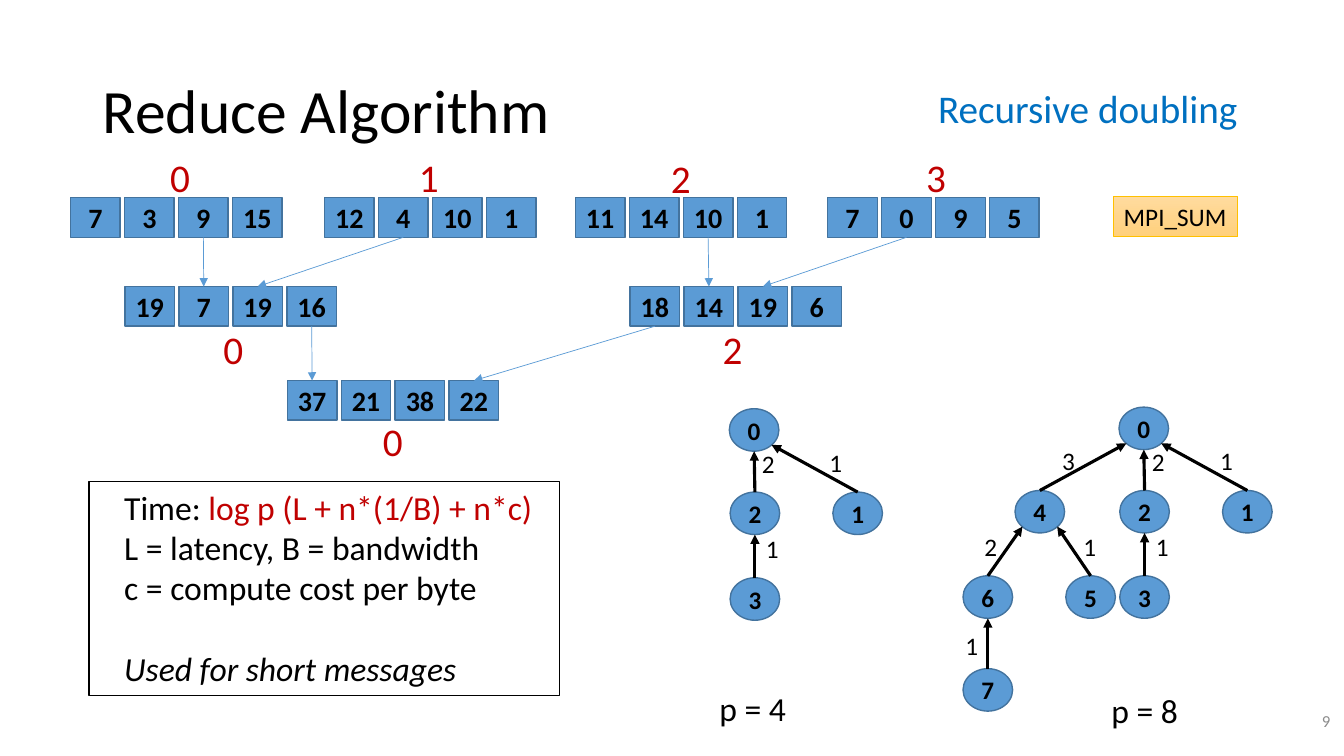
import pptx
import pptx.util
import pptx.dml.color
import pptx.enum.shapes
import pptx.enum.text
import pptx.oxml
import pptx.oxml.ns

Cm, Pt = pptx.util.Cm, pptx.util.Pt
SHAPE = pptx.enum.shapes.MSO_SHAPE
ALIGN = pptx.enum.text.PP_ALIGN
ANCHOR = pptx.enum.text.MSO_ANCHOR

HUES = {
    "black": "000000", "white": "FFFFFF", "red": "C00000", "sky": "0070C0",
    "blue": "5B9BD5", "navy": "43739E", "gray": "8C8C8C",
    "gold": "FFC000", "light": "FFDB9E", "deep": "FFD07C",
}

CELL_W, CELL_H, PITCH = 1.25, 1.0, 1.36
NODE_W, NODE_H = 1.25, 1.07

# name: left, top, values
ROWS = {
    "a": (1.78, 4.98, (7, 3, 9, 15)),
    "b": (8.18, 4.98, (12, 4, 10, 1)),
    "c": (14.5, 4.98, (11, 14, 10, 1)),
    "d": (20.86, 4.98, (7, 0, 9, 5)),
    "ab": (3.15, 7.22, (19, 7, 19, 16)),
    "cd": (15.88, 7.22, (18, 14, 19, 6)),
    "all": (7.24, 9.59, (37, 21, 38, 22)),
}
# row and cell an arrow leaves, row and cell it meets
MERGES = [
    ("a", 2, "ab", 1), ("b", 1, "ab", 2), ("c", 2, "cd", 1),
    ("d", 1, "cd", 2), ("ab", 3, "all", 0), ("cd", 0, "all", 3),
]
RANKS = [
    (0, 4.04, 3.73), (1, 10.31, 3.73), (2, 16.66, 3.76), (3, 23.09, 3.73),
    (0, 5.38, 8.08), (2, 17.96, 8.08), (0, 9.4, 10.39),
]
# nodes: rank to left, top; edges: parent, child, step, left and top of step
FOUR = (
    {0: (18.38, 10.3), 2: (18.4, 12.4), 3: (18.4, 14.56), 1: (20.99, 12.4)},
    [(0, 2, 2, 18.95, 11.18), (0, 1, 1, 20.65, 11.15), (2, 3, 1, 19.05, 13.31)],
)
EIGHT = (
    {0: (28.2, 10.26), 4: (25.58, 12.36), 2: (28.22, 12.36), 1: (30.81, 12.36),
     6: (24.27, 14.51), 5: (26.86, 14.51), 3: (28.22, 14.51), 7: (24.27, 16.85)},
    [(0, 4, 3, 26.52, 11.1), (0, 2, 2, 28.78, 11.12), (0, 1, 1, 30.5, 11.1),
     (4, 6, 2, 24.56, 13.26), (4, 5, 1, 27.05, 13.26), (2, 3, 1, 28.88, 13.26),
     (6, 7, 1, 24.08, 15.75)],
)


def tint(name):
    return pptx.dml.color.RGBColor.from_string(HUES[name])


def add_run(para, text, size, hue="black", bold=False, slant=False):
    run = para.add_run()
    run.text = text
    font = run.font
    font.name, font.size, font.bold, font.italic = "Calibri", Pt(size), bold, slant
    font.color.rgb = tint(hue)


def add_text(slide, text, box, size, hue="black", wrap=False,
             anchor=ANCHOR.TOP, align=ALIGN.LEFT):
    frame = slide.shapes.add_textbox(*map(Cm, box)).text_frame
    frame.word_wrap = wrap
    frame.vertical_anchor = anchor
    para = frame.paragraphs[0]
    para.alignment = align
    add_run(para, text, size, hue)
    return para


def add_form(slide, kind, box, fill, line, width=1):
    form = slide.shapes.add_shape(kind, *map(Cm, box))
    form.shadow.inherit = False
    form.fill.solid()
    form.fill.fore_color.rgb = tint(fill)
    form.line.color.rgb = tint(line)
    form.line.width = Pt(width)
    return form


def add_value(slide, kind, box, value, size):
    """Add a blue shape with a bold number in its centre."""
    form = add_form(slide, kind, box, "blue", "navy")
    frame = form.text_frame
    frame.margin_left = frame.margin_right = 0
    frame.margin_top = frame.margin_bottom = 0
    frame.vertical_anchor = ANCHOR.MIDDLE
    para = frame.paragraphs[0]
    para.alignment = ALIGN.CENTER
    add_run(para, str(value), size, bold=True)
    return form


def add_arrow(slide, start, stop, hue, width, end):
    """Draw a line; end is headEnd or tailEnd, where the tip sits."""
    link = slide.shapes.add_connector(
        pptx.enum.shapes.MSO_CONNECTOR.STRAIGHT, *map(Cm, start + stop))
    link.line.color.rgb = tint(hue)
    link.line.width = Pt(width)
    tip = pptx.oxml.parse_xml(
        f'<a:{end} {pptx.oxml.ns.nsdecls("a")} type="triangle"/>')
    link.line._get_or_add_ln().append(tip)
    link._element.spPr.append(
        pptx.oxml.parse_xml(f'<a:effectLst {pptx.oxml.ns.nsdecls("a")}/>'))
    return link


def add_rows(slide):
    cells = {}
    for name, (left, top, values) in ROWS.items():
        for i, value in enumerate(values):
            box = (left + i * PITCH, top, CELL_W, CELL_H)
            cells[name, i] = add_value(slide, SHAPE.RECTANGLE, box, value, 20)
    for row, i, goal, j in MERGES:
        link = add_arrow(slide, (0, 0), (1, 1), "blue", 0.5, "tailEnd")
        link.begin_connect(cells[row, i], 2)
        link.end_connect(cells[goal, j], 0)
    for rank, left, top in RANKS:
        add_text(slide, str(rank), (left, top, 0.84, 1.45), 28, "red")


def add_tree(slide, nodes, edges):
    for rank, (left, top) in nodes.items():
        add_value(slide, SHAPE.OVAL, (left, top, NODE_W, NODE_H), rank, 18)
    for parent, child, step, left, top in edges:
        (px, py), (cx, cy) = nodes[parent], nodes[child]
        side = 0 if abs(cx - px) < 0.1 else (1 if cx > px else -1)
        drop = 0.5 if side == 0 else 0.35
        start = (px + NODE_W * (0.5 + 0.35 * side), py + NODE_H * (0.5 + drop))
        add_arrow(slide, start, (cx + NODE_W / 2, cy), "black", 2.25, "headEnd")
        add_text(slide, str(step), (left, top, 0.84, 1.02), 18)


def add_cost(slide):
    box = (2.24, 12.14, 11.86, 5.38)
    frame = add_form(slide, SHAPE.RECTANGLE, box, "white", "black").text_frame
    frame.margin_left = Cm(0.89)
    frame.vertical_anchor = ANCHOR.TOP
    lines = [
        [("Time: ", "black", False), ("log p (L + n*(1/B) + n*c)", "red", False)],
        [("L = latency, B = bandwidth", "black", False)],
        [("c = compute cost per byte", "black", False)],
        [("Used for short messages", "black", True)],
    ]
    for i, runs in enumerate(lines):
        para = frame.add_paragraph() if i else frame.paragraphs[0]
        para.alignment = ALIGN.LEFT
        for text, hue, slant in runs:
            add_run(para, text, 24, hue, slant=slant)
    para.space_before = Pt(29)


def add_badge(slide):
    form = add_form(slide, SHAPE.RECTANGLE, (28.07, 4.95, 3.12, 1.02),
                    "light", "gold", 0.5)
    form.fill.gradient()
    form.fill.gradient_angle = 270
    for stop, hue in zip(form.fill.gradient_stops, ("light", "deep")):
        stop.color.rgb = tint(hue)
    form.text_frame.word_wrap = False
    para = form.text_frame.paragraphs[0]
    para.alignment = ALIGN.LEFT
    add_run(para, "MPI_SUM", 18)


def main():
    deck = pptx.Presentation()
    deck.slide_width, deck.slide_height = Cm(33.87), Cm(19.05)
    slide = deck.slides.add_slide(deck.slide_layouts[6])
    title = add_text(slide, "Reduce Algorithm", (2.34, 1.02, 29.21, 3.68), 44,
                     wrap=True, anchor=ANCHOR.MIDDLE)
    title.line_spacing = 0.9
    add_text(slide, "Recursive doubling", (23.39, 2.01, 8.15, 1.45), 28, "sky")
    add_rows(slide)
    add_cost(slide)
    add_badge(slide)
    add_tree(slide, *FOUR)
    add_tree(slide, *EIGHT)
    add_text(slide, "p = 4", (17.88, 17.22, 2.21, 1.27), 24)
    add_text(slide, "p = 8", (27.76, 17.27, 2.21, 1.27), 24)
    add_text(slide, "9", (26.16, 17.65, 7.62, 1.02), 12, "gray", wrap=True,
             anchor=ANCHOR.MIDDLE, align=ALIGN.RIGHT)
    deck.save("out.pptx")


if __name__ == "__main__":
    main()
